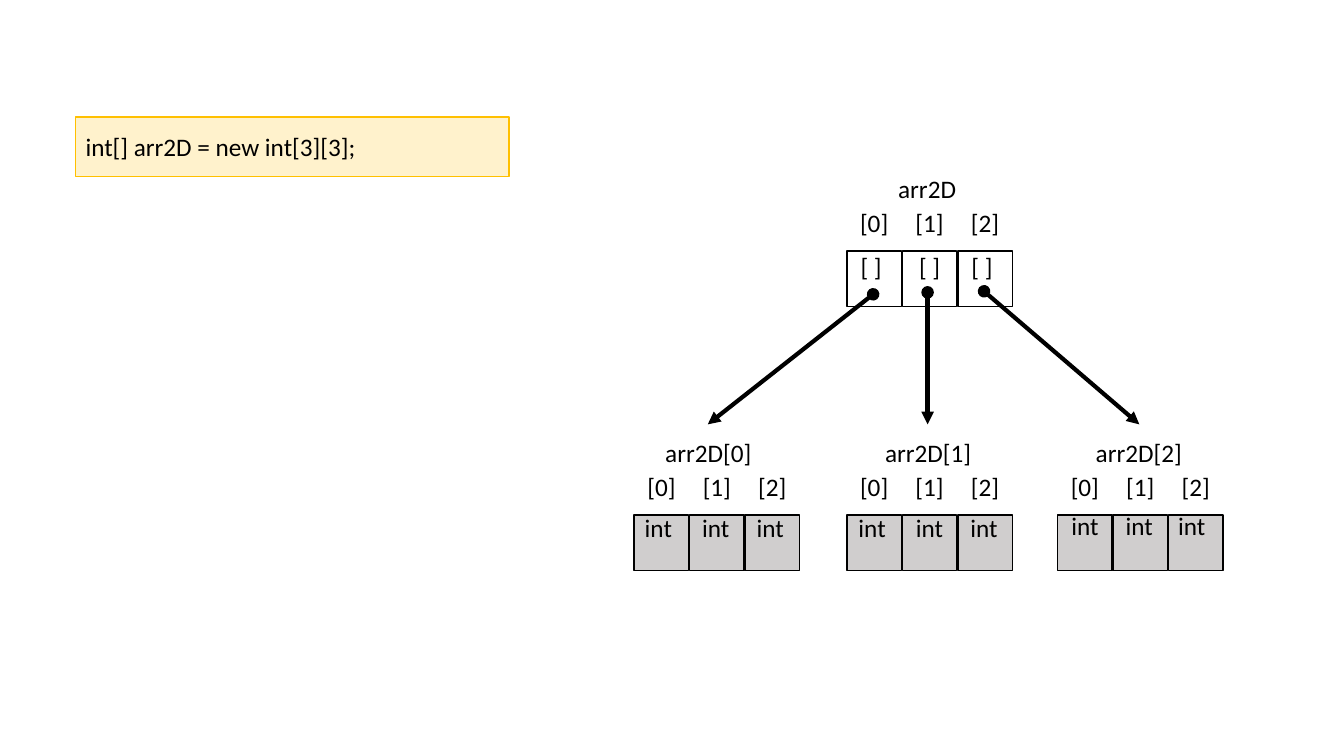
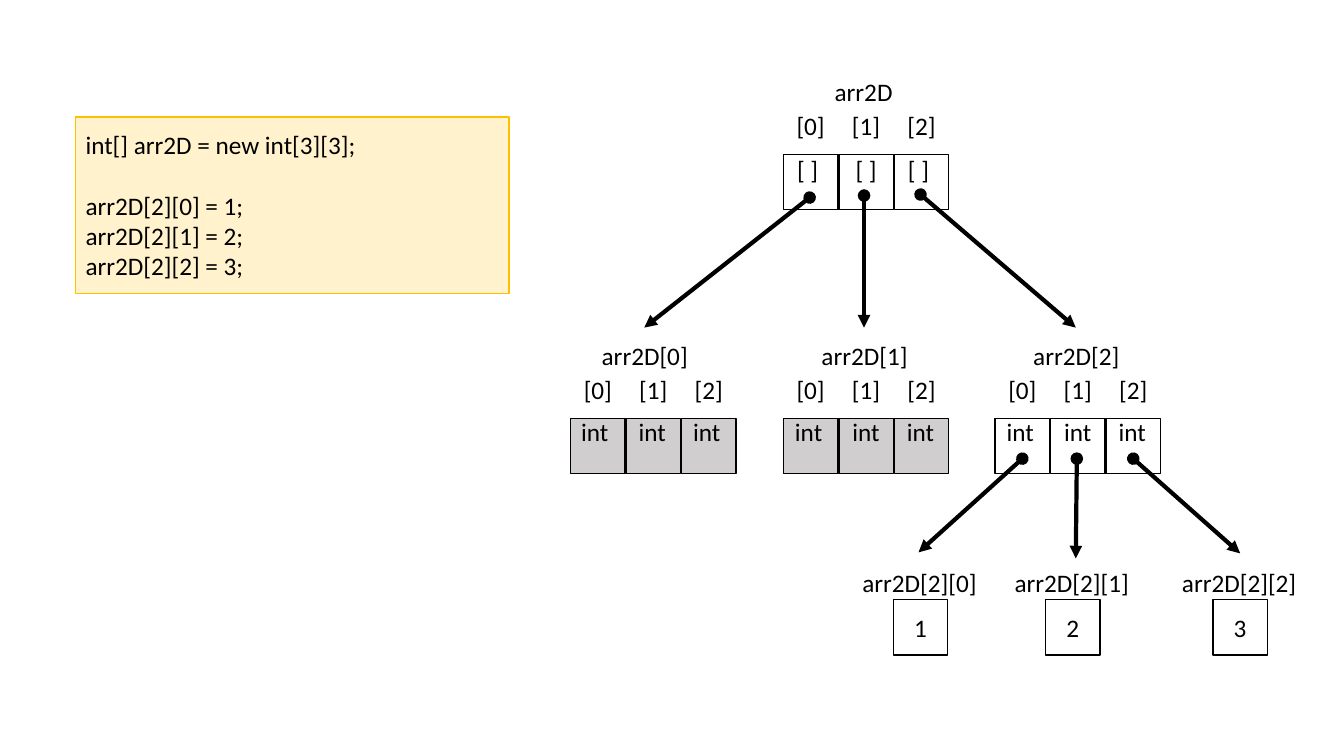
from lxml.etree import SubElement
from pptx import Presentation
from pptx.dml.color import RGBColor
from pptx.enum.shapes import MSO_CONNECTOR, MSO_SHAPE
from pptx.enum.text import MSO_ANCHOR, PP_ALIGN
from pptx.oxml.ns import qn
from pptx.util import Inches, Pt

BLACK = RGBColor(0x00, 0x00, 0x00)
GRAY = RGBColor(0xD0, 0xCE, 0xCE)
CREAM = RGBColor(0xFF, 0xF2, 0xCC)
GOLD = RGBColor(0xFF, 0xC0, 0x00)
FONT = "Calibri"
FONT_SIZE = Pt(18)
BLANK_LINE = Pt(22)
CELL_PITCH = 0.55
CELL_WIDTH = 0.54
CELL_HEIGHT = 0.55


def add_box(shapes, left, top, width, height, lines, fill=None, line=None, align=PP_ALIGN.CENTER):
    """Add text in an outlined rectangle, or in a plain text box if line is None."""
    place = Inches(left), Inches(top), Inches(width), Inches(height)
    if line is None:
        shape = shapes.add_textbox(*place)
    else:
        shape = shapes.add_shape(MSO_SHAPE.RECTANGLE, *place)
        shape.shadow.inherit = False
        shape.line.color.rgb = line
        shape.line.width = Pt(1)
        if fill is None:
            shape.fill.background()
        else:
            shape.fill.solid()
            shape.fill.fore_color.rgb = fill
    frame = shape.text_frame
    frame.word_wrap = True
    frame.vertical_anchor = MSO_ANCHOR.MIDDLE
    for number, text in enumerate(lines):
        paragraph = frame.add_paragraph() if number else frame.paragraphs[0]
        paragraph.alignment = align
        if number == 1:
            paragraph.space_before = BLANK_LINE
        run = paragraph.add_run()
        run.text = text
        run.font.name = FONT
        run.font.size = FONT_SIZE
        run.font.color.rgb = BLACK


def add_arrow(shapes, start, end, shift_x=0, shift_y=0):
    """Add a thick arrow that starts with a dot."""
    arrow = shapes.add_connector(
        MSO_CONNECTOR.STRAIGHT,
        Inches(start[0] + shift_x), Inches(start[1] + shift_y),
        Inches(end[0] + shift_x), Inches(end[1] + shift_y))
    arrow.line.color.rgb = BLACK
    arrow.line.width = Pt(3)
    outline = arrow.line._get_or_add_ln()
    SubElement(outline, qn("a:headEnd"), type="oval")
    SubElement(outline, qn("a:tailEnd"), type="triangle")
    SubElement(arrow._element.spPr, qn("a:effectLst"))


# Tree: arrows, and arrays as name, left, top, name width, cell text, text offsets
tree_arrows = [
    ((8.66, 2.92), (7.02, 4.21)),
    ((9.2, 2.9), (9.2, 4.21)),
    ((9.76, 2.89), (11.3, 4.21)),
]
tree_arrays = [
    ("arr2D", 8.4, 2.49, 1.59, "[ ]", (-0.03, 0.55, 1.07), 0.05),
    ("arr2D[0]", 6.29, 5.11, 1.47, "int", (-0.03, 0.54, 1.08), 0.02),
    ("arr2D[1]", 8.4, 5.11, 1.61, "int", (-0.02, 0.55, 1.09), 0.02),
]
empty_row = ("arr2D[2]", 10.49, 5.11, 1.61, "int", (0, 0.54, 1.06), 0)
filled_row = ("arr2D[2]", 10.5, 5.11, 1.61, "int", (-0.02, 0.55, 1.09), 0.02)

# Values: number, box left, arrow start, arrow end
values = [
    (1, 8.86, (10.14, 4.55), (9.11, 5.48)),
    (2, 10.37, (10.68, 4.55), (10.67, 5.54)),
    (3, 12.03, (11.24, 4.55), (12.3, 5.49)),
]
declaration = "int[] arr2D = new int[3][3];"
assignments = [f"arr2D[2][{index}] = {number};" for index, (number, *_) in enumerate(values)]

# Slides: code lines, code height, tree shift, last row, assigned values
slides = [
    ([declaration], 0.59, 0, 0, empty_row, []),
    ([declaration, *assignments], 1.75, -0.63, -0.96, filled_row, values),
]

presentation = Presentation()
presentation.slide_width = Inches(13.33)
presentation.slide_height = Inches(7.5)

for code, code_height, shift_x, shift_y, last_row, slide_values in slides:
    slide = presentation.slides.add_slide(presentation.slide_layouts[6])

    # Arrows from the outer array to its rows
    for start, end in tree_arrows:
        add_arrow(slide.shapes, start, end, shift_x, shift_y)

    # Arrays, each one group of cells with indexes above
    for name, left, top, name_width, content, offsets, drop in [*tree_arrays, last_row]:
        left, top = left + shift_x, top + shift_y
        fill = GRAY if content == "int" and not (slide_values and name == "arr2D[2]") else None
        shapes = slide.shapes.add_group_shape().shapes
        for index, offset in enumerate(offsets):
            cell_left = left + index * CELL_PITCH
            add_box(shapes, cell_left, top, CELL_WIDTH, CELL_HEIGHT, [], fill, BLACK)
            add_box(shapes, cell_left, top - 0.56, CELL_WIDTH, CELL_HEIGHT, [f"[{index}]"])
            add_box(shapes, left + offset, top + drop, CELL_WIDTH, 0.21, [content])
        add_box(shapes, left, top - 0.9, name_width, CELL_HEIGHT, [name])

    # Assigned values
    for index, (number, left, start, end) in enumerate(slide_values):
        add_arrow(slide.shapes, start, end)
        add_box(slide.shapes, left - 0.53, 5.5, 1.58, CELL_HEIGHT, [f"arr2D[2][{index}]"])
        add_box(slide.shapes, left, 5.95, CELL_WIDTH, CELL_HEIGHT, [str(number)], line=BLACK)

    # Code
    add_box(slide.shapes, 0.75, 1.16, 4.3, code_height, code, CREAM, GOLD, PP_ALIGN.LEFT)

presentation.save("out.pptx")
